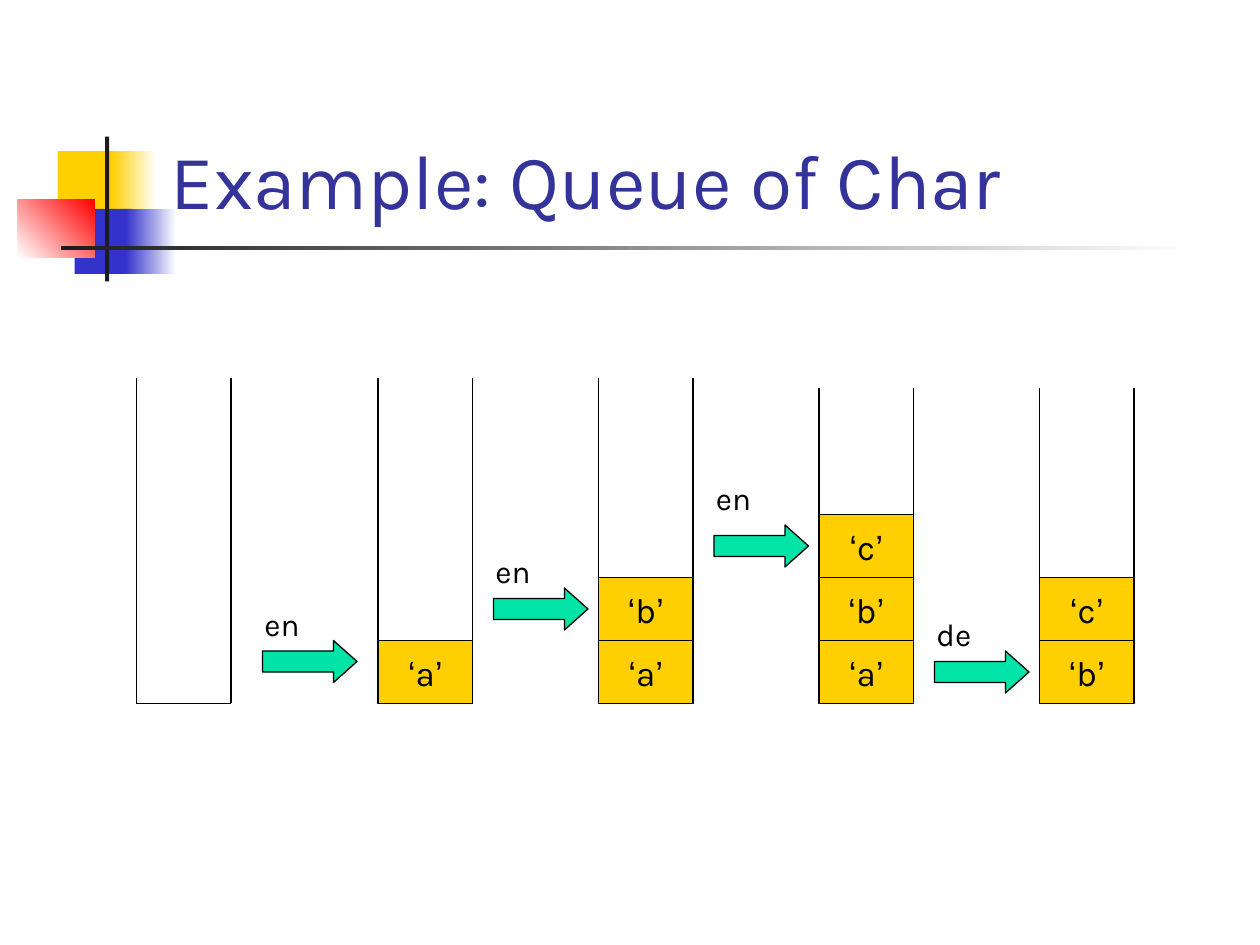
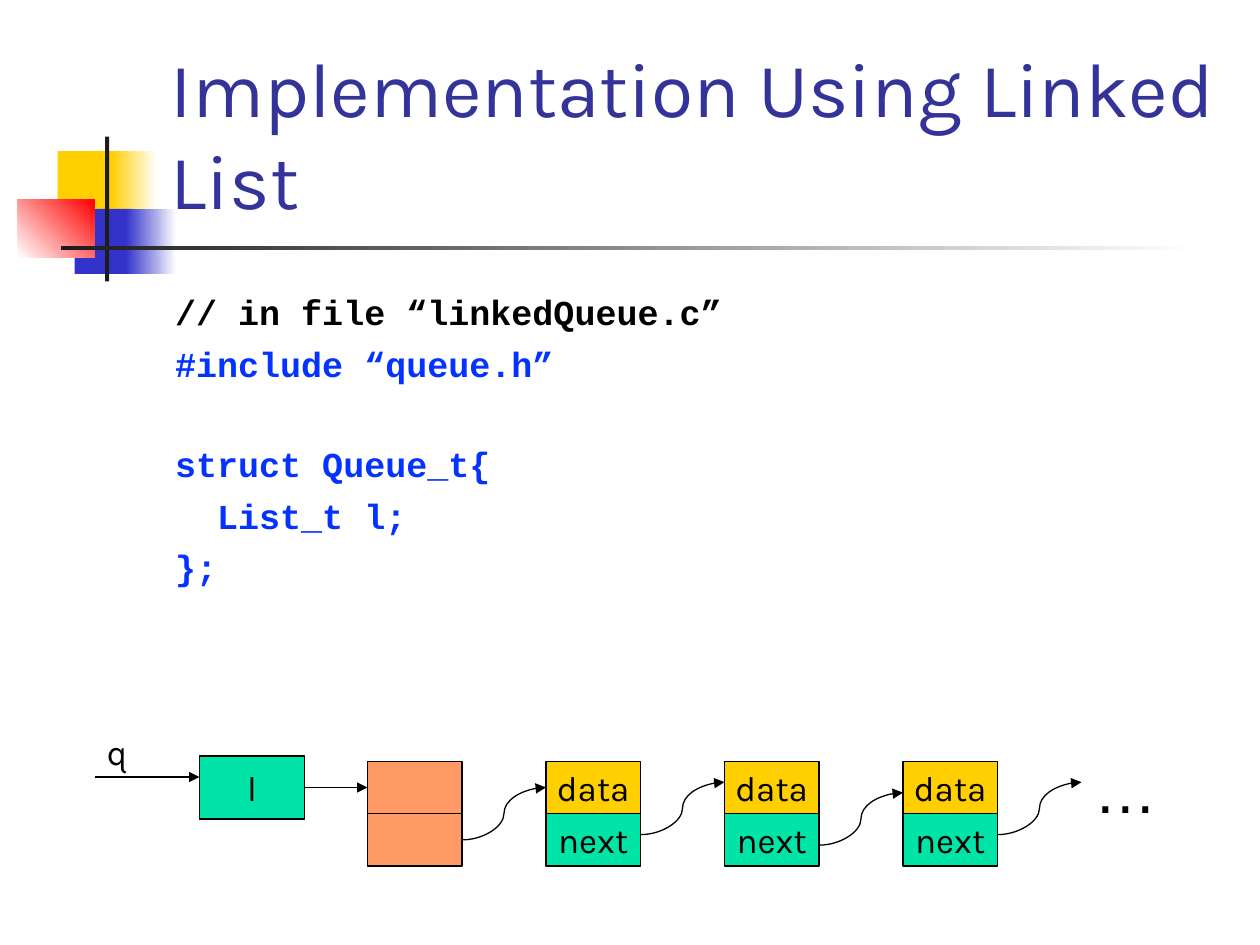
import dataclasses

import lxml.etree
import pptx
import pptx.dml.color
import pptx.enum.shapes
import pptx.enum.text
import pptx.oxml.ns
import pptx.util

PX = 7620
SHAPE = pptx.enum.shapes.MSO_SHAPE
CONNECTOR = pptx.enum.shapes.MSO_CONNECTOR
ANCHOR = pptx.enum.text.MSO_ANCHOR
ALIGN = pptx.enum.text.PP_ALIGN


@dataclasses.dataclass(frozen=True)
class Theme:
    """Colours, fonts and type sizes of the deck."""
    white: str = "FFFFFF"
    black: str = "000000"
    bar: str = "1C1C1C"
    yellow: str = "FFCF01"
    blue: str = "3333CC"
    red: str = "FF0000"
    green: str = "00E4A8"
    orange: str = "FF9966"
    title: str = "333399"
    code: str = "0432FF"
    font: str = "Karla"
    symbol_font: str = "Arial"
    code_font: str = "Courier New"
    title_size: int = 44
    dots_size: int = 36
    body_size: int = 20
    label_size: int = 18
    line_width: float = 0.75


T = Theme()


def px(*lengths):
    """Turn px lengths into EMU."""
    return [pptx.util.Emu(n * PX) for n in lengths]


def rgb(code):
    """Return the colour for a hex code."""
    return pptx.dml.color.RGBColor.from_string(code)


def add_run(p, text, size=T.body_size, font=T.font, color=T.black, bold=False):
    """Add one styled run to a paragraph."""
    r = p.add_run()
    r.text = text
    r.font.size = pptx.util.Pt(size)
    r.font.name = font
    r.font.bold = bold
    r.font.color.rgb = rgb(color)


def add_text(slide, box, text, **style):
    """Add a wrapping text box holding one run and return its frame."""
    tf = slide.shapes.add_textbox(*px(*box)).text_frame
    tf.word_wrap = True
    add_run(tf.paragraphs[0], text, **style)
    return tf


def set_line(line):
    """Give a line the deck's thin black stroke."""
    line.color.rgb = rgb(T.black)
    line.width = pptx.util.Pt(T.line_width)


def add_block(slide, box, fill, kind=SHAPE.RECTANGLE, outlined=True):
    """Add a solid shape, outlined or plain."""
    sp = slide.shapes.add_shape(kind, *px(*box))
    sp.shadow.inherit = False
    sp.fill.solid()
    sp.fill.fore_color.rgb = rgb(fill)
    if outlined:
        set_line(sp.line)
    else:
        sp.line.fill.background()
    return sp


def add_fade(slide, box, start, end, angle=0):
    """Add a plain rectangle that fades between two colours."""
    sp = add_block(slide, box, start, outlined=False)
    sp.fill.gradient()
    sp.fill.gradient_angle = angle
    for stop, color in zip(sp.fill.gradient_stops, (start, end)):
        stop.color.rgb = rgb(color)


def add_cell(slide, box, fill, parts):
    """Add an outlined box with centred runs given as (text, font) pairs."""
    sp = add_block(slide, box, fill)
    tf = sp.text_frame
    tf.word_wrap = False
    tf.vertical_anchor = ANCHOR.MIDDLE
    p = tf.paragraphs[0]
    p.alignment = ALIGN.CENTER
    for text, font in parts:
        add_run(p, text, font=font)
    return sp


def add_line(slide, ends, kind=CONNECTOR.STRAIGHT, arrow=False):
    """Add a thin connector, with an arrowhead if asked."""
    line = slide.shapes.add_connector(kind, *px(*ends))
    set_line(line.line)
    qn = pptx.oxml.ns.qn
    properties = line._element.spPr
    if arrow:
        lxml.etree.SubElement(properties.find(qn("a:ln")), qn("a:tailEnd"), type="triangle")
    lxml.etree.SubElement(properties, qn("a:effectLst"))
    return line


def add_base(prs, title):
    """Add a blank slide with the shared ornament and title."""
    slide = prs.slides.add_slide(prs.slide_layouts[6])
    add_block(slide, (55, 144, 58, 62), T.yellow, outlined=False)
    add_fade(slide, (106, 144, 43, 62), T.yellow, T.white)
    add_block(slide, (71, 199, 55, 62), T.blue, outlined=False)
    add_fade(slide, (120, 199, 48, 62), T.blue, T.white)
    add_fade(slide, (17, 190, 73, 55), T.white, T.red, 45)
    add_block(slide, (100, 130, 4, 138), T.bar, outlined=False)
    add_fade(slide, (58, 234, 1080, 4), T.bar, T.white)
    tf = add_text(slide, (151, 28, 1022, 192), title, size=T.title_size, color=T.title)
    tf.vertical_anchor = ANCHOR.BOTTOM
    return slide


def add_queue(slide, box, items):
    """Draw an open-topped bin with items stacked from its bottom."""
    left, top, width, height = box
    cell_height = 60
    right, bottom = left + width, top + height
    level = bottom - cell_height * len(items)
    add_line(slide, (left, level, right, level))
    for x in (left, right):
        add_line(slide, (x, top, x, level))
    for i, item in enumerate(items, 1):
        parts = (("‘", T.symbol_font), (item, T.font), ("’", T.symbol_font))
        add_cell(slide, (left, bottom - i * cell_height, width, cell_height), T.yellow, parts)


def add_step(slide, box, text, rise=40, label_width=100):
    """Draw a block arrow with its operation above it."""
    left, top = box[:2]
    arrow = add_block(slide, box, T.green, SHAPE.RIGHT_ARROW)
    arrow.adjustments[1] = 0.56
    add_text(slide, (left - 10, top - rise, label_width, 48), text, size=T.label_size)


def add_code(slide, box, lines):
    """Write code lines given as (text, colour, space before) triples."""
    tf = slide.shapes.add_textbox(*px(*box)).text_frame
    tf.word_wrap = True
    tf.margin_top = px(12)[0]
    for i, (text, color, space) in enumerate(lines):
        p = tf.add_paragraph() if i else tf.paragraphs[0]
        p.space_before = pptx.util.Pt(space)
        add_run(p, text, font=T.code_font, color=color, bold=True)


def add_linked_list(slide, box):
    """Draw the queue pointer, its list field and the chain of nodes."""
    left, top = box[:2]
    width, height, pitch = 90, 50, 170
    field = add_cell(slide, (left + 100, top + 30, 100, 60), T.green, [("l", T.font)])
    add_text(slide, (left, top, 90, 52), "q")
    add_line(slide, (left, top + 50, left + 100, top + 50), arrow=True)
    node_top = top + 35
    curve_shifts = (0, -5, 5, -5)
    for i, shift in enumerate(curve_shifts):
        x = left + 260 + i * pitch
        upper, lower = (x, node_top, width, height), (x, node_top + height, width, height)
        if i:
            add_cell(slide, upper, T.yellow, [("data", T.font)])
            add_cell(slide, lower, T.green, [("next", T.font)])
        else:
            head = add_block(slide, upper, T.orange)
            add_block(slide, lower, T.orange)
            link = add_line(slide, (left + 200, top + 60, x, top + 60), arrow=True)
            link.begin_connect(field, 3)
            link.end_connect(head, 1)
        y = node_top + height // 2 + shift
        ends = (x + width, y + height, x + pitch, y)
        add_line(slide, ends, CONNECTOR.CURVE, arrow=True)
    dots = (left + 260 + len(curve_shifts) * pitch, top + 19, 90, 84)
    add_text(slide, dots, "…", size=T.dots_size, font=T.symbol_font)


def build_example(prs):
    """Build the slide that follows a queue through its operations."""
    slide = add_base(prs, "Example: Queue of Char")
    bottom = 670
    queues = ((130, 360, ""), (360, 360, "a"), (570, 360, "ab"),
              (780, 370, "abc"), (990, 370, "bc"))
    for left, top, items in queues:
        add_queue(slide, (left, top, 90, bottom - top), items)
    add_step(slide, (250, 610, 90, 40), "en")
    add_step(slide, (470, 560, 90, 40), "en")
    add_step(slide, (680, 500, 90, 40), "en", rise=50)
    add_step(slide, (890, 620, 90, 40), "de", label_width=120)


def build_implementation(prs):
    """Build the slide that shows the code and its linked list."""
    slide = add_base(prs, "Implementation Using Linked List")
    add_code(slide, (155, 265, 1020, 540), (
        ("// in file “linkedQueue.c”", T.black, 0),
        ("#include “queue.h”", T.code, 5.4),
        ("struct Queue_t{", T.code, 33.5),
        ("  List_t l;", T.code, 5.4),
        ("};", T.code, 5.4),
    ))
    add_linked_list(slide, (90, 690, 1030, 135))


def main():
    """Build and save the deck."""
    prs = pptx.Presentation()
    prs.slide_width, prs.slide_height = px(1200, 900)
    build_example(prs)
    build_implementation(prs)
    prs.save("out.pptx")


if __name__ == "__main__":
    main()
